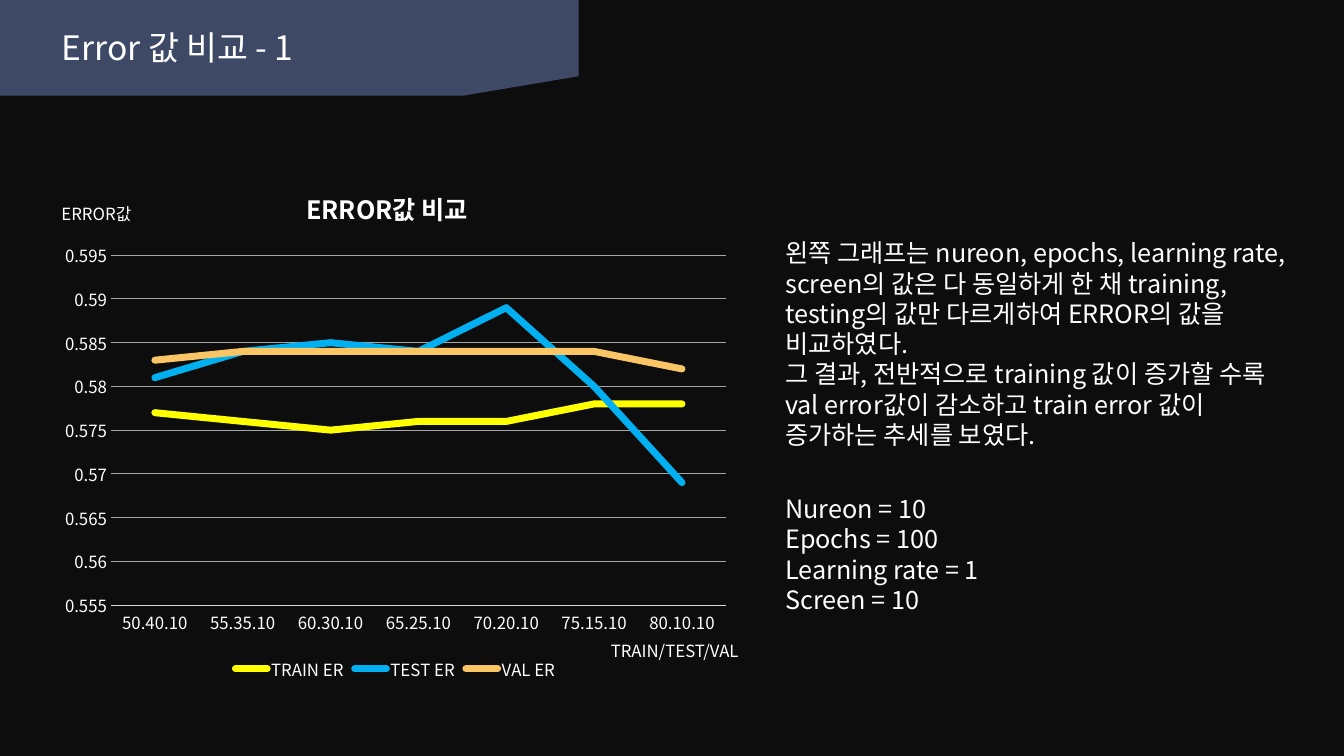
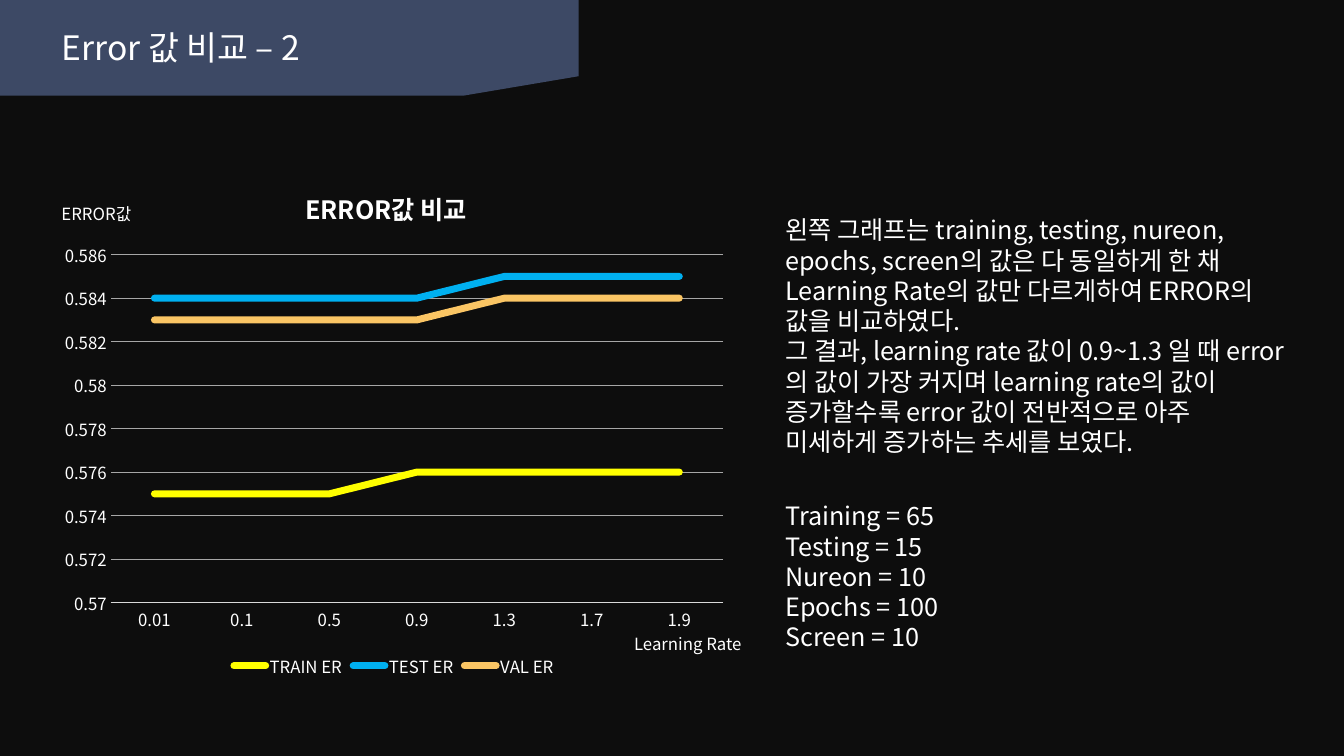
"""Build two slides comparing training, test and validation error values."""
from dataclasses import dataclass

from pptx import Presentation
from pptx.chart.axis import ValueAxis
from pptx.chart.chart import Chart
from pptx.chart.data import CategoryChartData
from pptx.dml.color import RGBColor
from pptx.enum.chart import XL_CHART_TYPE, XL_LEGEND_POSITION, XL_TICK_MARK
from pptx.enum.shapes import MSO_SHAPE
from pptx.enum.text import MSO_ANCHOR, MSO_AUTO_SIZE, PP_ALIGN
from pptx.oxml import parse_xml
from pptx.oxml.ns import nsdecls, qn
from pptx.slide import Slide, SlideLayout
from pptx.text.text import Font, TextFrame
from pptx.util import Inches, Pt

SLIDE_WIDTH = Inches(13.33)
SLIDE_HEIGHT = Inches(7.5)
FONT_NAME = "Noto Sans CJK KR"
BACKGROUND = RGBColor(0x0D, 0x0D, 0x0D)
BAND = RGBColor(0x3D, 0x49, 0x65)
WHITE = RGBColor(0xFF, 0xFF, 0xFF)
GRID_LINE = RGBColor(0xA6, 0xA6, 0xA6)
AXIS_LINE = RGBColor(0xD9, 0xD9, 0xD9)
SERIES_COLORS = {
    "TRAIN ER": RGBColor(0xFF, 0xFF, 0x00),
    "TEST ER": RGBColor(0x00, 0xB0, 0xF0),
    "VAL ER": RGBColor(0xFA, 0xC5, 0x64),
}
LABEL_SIZE = 12
BODY_SIZE = 18
TITLE_SIZE = 24
BODY_LINE = Pt(21.6)
SETTINGS_GAP = Pt(31.5)


@dataclass(frozen=True)
class Frame:
    """A rectangle in percent of the slide's width and height."""

    left: float
    top: float
    width: float
    height: float

    def box(self) -> tuple[int, int, int, int]:
        """Return left, top, width and height as slide lengths."""
        return (
            round(SLIDE_WIDTH * self.left / 100),
            round(SLIDE_HEIGHT * self.top / 100),
            round(SLIDE_WIDTH * self.width / 100),
            round(SLIDE_HEIGHT * self.height / 100),
        )


@dataclass(frozen=True)
class Scale:
    """The range and step of a value axis."""

    minimum: float
    maximum: float
    step: float


@dataclass(frozen=True)
class Comparison:
    """The content of one error comparison slide."""

    title: str
    chart_frame: Frame
    categories: list[str]
    values: list[list[float]]
    scale: Scale
    category_label: str
    category_frame: Frame
    body_frame: Frame
    findings: list[str]
    settings: list[str]


BAND_FRAME = Frame(0, -0.27, 43.06, 12.93)
TITLE_FRAME = Frame(3.83, 2.93, 28.13, 6.67)
VALUE_LABEL_FRAME = Frame(3.83, 26.27, 8.78, 4.53)

COMPARISONS = [
    Comparison(
        title="Error 값 비교 - 1",
        chart_frame=Frame(3.83, 22.27, 51.16, 68.4),
        categories=["50.40.10", "55.35.10", "60.30.10", "65.25.10",
                    "70.20.10", "75.15.10", "80.10.10"],
        values=[
            [0.577, 0.576, 0.575, 0.576, 0.576, 0.578, 0.578],
            [0.581, 0.584, 0.585, 0.584, 0.589, 0.58, 0.569],
            [0.583, 0.584, 0.584, 0.584, 0.584, 0.584, 0.582],
        ],
        scale=Scale(0.555, 0.595, 0.005),
        category_label="TRAIN/TEST/VAL",
        category_frame=Frame(44.71, 84.13, 16.65, 4.53),
        body_frame=Frame(57.69, 30.8, 38.78, 51.6),
        findings=[
            "왼쪽 그래프는 nureon, epochs, learning rate, screen의 값은 다 동일하게 "
            "한 채 training, testing의 값만 다르게하여 ERROR의 값을 비교하였다.",
            "그 결과, 전반적으로 training 값이 증가할 수록 val error값이 감소하고 "
            "train error 값이 증가하는 추세를 보였다.",
        ],
        settings=["Nureon = 10", "Epochs = 100", "Learning rate = 1", "Screen = 10"],
    ),
    Comparison(
        title="Error 값 비교 – 2",
        chart_frame=Frame(3.83, 22.27, 50.94, 68),
        categories=["0.01", "0.1", "0.5", "0.9", "1.3", "1.7", "1.9"],
        values=[
            [0.575, 0.575, 0.575, 0.576, 0.576, 0.576, 0.576],
            [0.584, 0.584, 0.584, 0.584, 0.585, 0.585, 0.585],
            [0.583, 0.583, 0.583, 0.583, 0.584, 0.584, 0.584],
        ],
        scale=Scale(0.57, 0.586, 0.002),
        category_label="Learning Rate",
        category_frame=Frame(46.44, 83.2, 16.65, 4),
        body_frame=Frame(57.69, 27.73, 38.78, 59.73),
        findings=[
            "왼쪽 그래프는 training, testing, nureon, epochs, screen의 값은 다 동일하게 "
            "한 채 Learning Rate의 값만 다르게하여 ERROR의 값을 비교하였다.",
            "그 결과, learning rate 값이 0.9~1.3 일 때 error의 값이 가장 커지며 "
            "learning rate의 값이 증가할수록 error 값이 전반적으로 아주 미세하게 "
            "증가하는 추세를 보였다.",
        ],
        settings=["Training = 65", "Testing = 15", "Nureon = 10",
                  "Epochs = 100", "Screen = 10"],
    ),
]


def style_font(font: Font, size: float, bold: bool = False) -> None:
    """Apply the shared white typeface."""
    font.size = Pt(size)
    font.bold = bold
    font.color.rgb = WHITE
    font.name = FONT_NAME


def style_text(text_frame: TextFrame, size: float) -> None:
    """Wrap and left-align a text frame and format all its runs."""
    text_frame.word_wrap = True
    text_frame.auto_size = MSO_AUTO_SIZE.NONE
    for paragraph in text_frame.paragraphs:
        paragraph.alignment = PP_ALIGN.LEFT
        for run in paragraph.runs:
            style_font(run.font, size)


def add_text(slide: Slide, frame: Frame, text: str, size: float) -> TextFrame:
    """Add a text box with one paragraph per line of text."""
    text_frame = slide.shapes.add_textbox(*frame.box()).text_frame
    text_frame.text = text
    style_text(text_frame, size)
    return text_frame


def add_heading(slide: Slide, text: str) -> None:
    """Draw the clipped band and place the title on it."""
    band = slide.shapes.add_shape(MSO_SHAPE.FLOWCHART_CARD, *BAND_FRAME.box())
    band.rotation = 180
    band.shadow.inherit = False
    band.fill.solid()
    band.fill.fore_color.rgb = BAND
    band.line.fill.background()
    title = slide.shapes.title
    title.left, title.top, title.width, title.height = TITLE_FRAME.box()
    title.fill.solid()
    title.fill.fore_color.rgb = BAND
    title.text_frame.text = text
    title.text_frame.vertical_anchor = MSO_ANCHOR.MIDDLE
    style_text(title.text_frame, TITLE_SIZE)
    band._element.addnext(title._element)


def add_body(slide: Slide, comparison: Comparison) -> None:
    """Write the findings followed by the fixed settings."""
    lines = comparison.findings + comparison.settings
    text_frame = add_text(slide, comparison.body_frame, "\n".join(lines), BODY_SIZE)
    for paragraph in text_frame.paragraphs:
        paragraph.line_spacing = BODY_LINE
    text_frame.paragraphs[len(comparison.findings)].space_before = SETTINGS_GAP


def manual_layout(target: str, **percents: float):
    """Return a chart layout element placed in percent of the chart."""
    parts = {"layoutTarget": target} if target else {}
    parts |= {"xMode": "edge", "yMode": "edge"}
    parts |= {name: percent / 100 for name, percent in percents.items()}
    children = "".join(f'<c:{name} val="{value}"/>' for name, value in parts.items())
    return parse_xml(
        f'<c:layout {nsdecls("c")}><c:manualLayout>{children}</c:manualLayout></c:layout>'
    )


def replace_layout(parent, layout, position: int) -> None:
    """Swap the layout child of a chart part for a manual one."""
    for former in parent.findall(qn("c:layout")):
        parent.remove(former)
    parent.insert(position, layout)


def style_value_axis(axis: ValueAxis, scale: Scale) -> None:
    """Set the range, gridlines and hidden line of the value axis."""
    axis.minimum_scale = scale.minimum
    axis.maximum_scale = scale.maximum
    axis.major_unit = scale.step
    axis.has_major_gridlines = True
    axis.major_gridlines.format.line.color.rgb = GRID_LINE
    axis.major_gridlines.format.line.width = Pt(0.75)
    axis.format.line.fill.background()


def style_chart(chart: Chart, scale: Scale) -> None:
    """Format the title, legend, axes and lines of an error chart."""
    style_font(chart.font, LABEL_SIZE)
    chart.has_title = True
    title_frame = chart.chart_title.text_frame
    title_frame.text = "ERROR값 비교"
    style_font(title_frame.paragraphs[0].runs[0].font, BODY_SIZE, bold=True)
    replace_layout(chart.chart_title._element, manual_layout("", x=36.4, y=2.7), 1)
    replace_layout(
        chart._chartSpace.chart.plotArea,
        manual_layout("inner", x=8.65, y=16.8, w=89.45, h=67.7),
        0,
    )
    chart.has_legend = True
    chart.legend.position = XL_LEGEND_POSITION.BOTTOM
    chart.legend.include_in_layout = False
    style_font(chart.legend.font, LABEL_SIZE)
    for axis in (chart.category_axis, chart.value_axis):
        axis.major_tick_mark = XL_TICK_MARK.NONE
        axis.minor_tick_mark = XL_TICK_MARK.NONE
        style_font(axis.tick_labels.font, LABEL_SIZE)
    chart.category_axis.format.line.color.rgb = AXIS_LINE
    chart.category_axis.format.line.width = Pt(0.75)
    style_value_axis(chart.value_axis, scale)
    chart.plots[0].vary_by_categories = False
    for series in chart.plots[0].series:
        series.smooth = False
        line = series.format.line
        line.color.rgb = SERIES_COLORS[series.name]
        line.width = Pt(5)
        line._get_or_add_ln().set("cap", "rnd")


def add_error_chart(slide: Slide, comparison: Comparison) -> None:
    """Add the error line chart with its two axis labels."""
    chart_data = CategoryChartData()
    chart_data.categories = comparison.categories
    for name, values in zip(SERIES_COLORS, comparison.values):
        chart_data.add_series(name, values)
    graphic_frame = slide.shapes.add_chart(
        XL_CHART_TYPE.LINE, *comparison.chart_frame.box(), chart_data
    )
    style_chart(graphic_frame.chart, comparison.scale)
    add_text(slide, VALUE_LABEL_FRAME, "ERROR값", LABEL_SIZE)
    add_text(slide, comparison.category_frame, comparison.category_label, LABEL_SIZE)


def add_comparison(
    presentation: Presentation, layout: SlideLayout, comparison: Comparison
) -> None:
    """Add one complete comparison slide."""
    slide = presentation.slides.add_slide(layout)
    add_error_chart(slide, comparison)
    add_heading(slide, comparison.title)
    add_body(slide, comparison)


def main() -> None:
    """Build and save the presentation."""
    presentation = Presentation()
    presentation.slide_width = SLIDE_WIDTH
    presentation.slide_height = SLIDE_HEIGHT
    layout = presentation.slide_layouts.get_by_name("Title Only")
    layout.background.fill.solid()
    layout.background.fill.fore_color.rgb = BACKGROUND
    for comparison in COMPARISONS:
        add_comparison(presentation, layout, comparison)
    presentation.save("out.pptx")


main()
